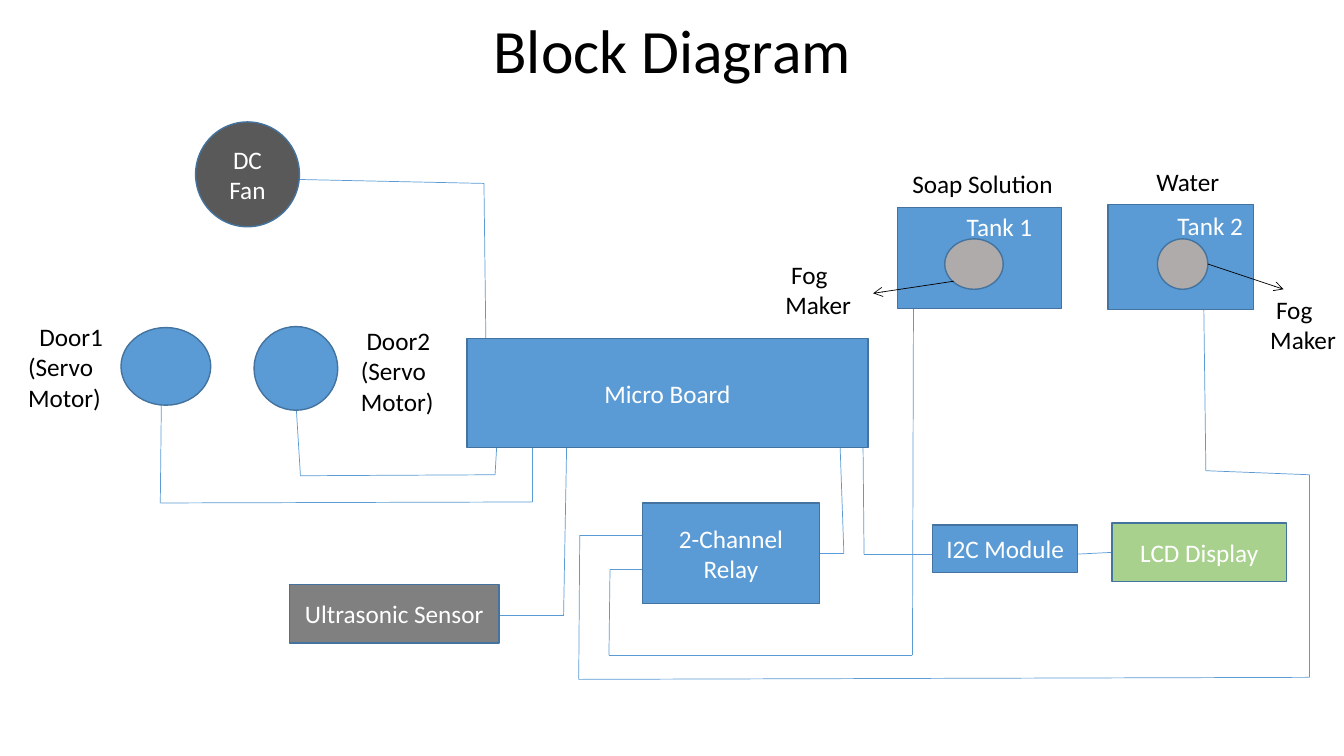
from dataclasses import dataclass
from itertools import pairwise
from typing import Any

from lxml.etree import SubElement
from pptx import Presentation
from pptx.dml.color import RGBColor
from pptx.enum.shapes import MSO_CONNECTOR, MSO_SHAPE
from pptx.enum.text import MSO_ANCHOR, MSO_AUTO_SIZE, PP_ALIGN
from pptx.oxml.ns import qn
from pptx.util import Inches, Pt


@dataclass(frozen=True)
class Theme:
    font: str = "Calibri"
    title: float = 44
    body: float = 18
    border: float = 1
    wire: float = 0.5
    black: str = "000000"
    white: str = "FFFFFF"
    blue: str = "5B9BD5"
    edge: str = "43739E"
    green: str = "A9D18E"
    gray: str = "808080"
    dark: str = "595959"
    silver: str = "AFABAB"


T = Theme()
COLS, ROWS = 133.3, 75
SLIDE_W, SLIDE_H = Inches(13.33), Inches(7.5)
RECT, OVAL = MSO_SHAPE.RECTANGLE, MSO_SHAPE.OVAL
LEFT, CENTER = PP_ALIGN.LEFT, PP_ALIGN.CENTER
Point = tuple[float, float]


@dataclass(frozen=True)
class Block:
    col: float
    row: float
    cols: float
    rows: float
    fill: str = T.blue
    kind: Any = RECT
    lines: tuple[str, ...] = ()


@dataclass(frozen=True)
class Label:
    col: float
    row: float
    cols: float
    lines: tuple[str, ...]
    color: str = T.black
    align: Any = LEFT
    indent: float = 0


@dataclass(frozen=True)
class Wire:
    points: tuple[Point, ...]
    color: str = T.blue
    arrow: bool = False


def x(col: float) -> int:
    return round(SLIDE_W * col / COLS)


def y(row: float) -> int:
    return round(SLIDE_H * row / ROWS)


def apply(target: Any, values: dict[str, Any]) -> None:
    for name, value in values.items():
        setattr(target, name, value)


def write(tf: Any, lines: tuple[str, ...], color: str, size: float = T.body,
          align: Any = CENTER, spacing: float = 1, indent: float = 0) -> None:
    for i, line in enumerate(lines):
        p = tf.add_paragraph() if i else tf.paragraphs[0]
        apply(p, {"alignment": align, "line_spacing": spacing})
        if indent and i == 0:
            p._p.get_or_add_pPr().set("indent", str(x(indent)))
        r = p.add_run()
        r.text = line
        apply(r.font, {"name": T.font, "size": Pt(size)})
        r.font.color.rgb = RGBColor.from_string(color)


def draw_block(s: Any, b: Block) -> None:
    sp = s.shapes.add_shape(b.kind, x(b.col), y(b.row), x(b.cols), y(b.rows))
    sp.shadow.inherit = False
    sp.fill.solid()
    sp.fill.fore_color.rgb = RGBColor.from_string(b.fill)
    sp.line.color.rgb = RGBColor.from_string(T.edge)
    sp.line.width = Pt(T.border)
    apply(sp.text_frame, {"word_wrap": True, "vertical_anchor": MSO_ANCHOR.MIDDLE})
    write(sp.text_frame, b.lines, T.white)


def draw_label(s: Any, b: Label) -> None:
    rows = 1 + 3.03 * len(b.lines)
    tf = s.shapes.add_textbox(x(b.col), y(b.row), x(b.cols), y(rows)).text_frame
    apply(tf, {"word_wrap": False, "auto_size": MSO_AUTO_SIZE.SHAPE_TO_FIT_TEXT})
    write(tf, b.lines, b.color, align=b.align, indent=b.indent)


def draw_wire(s: Any, w: Wire) -> None:
    for (c1, r1), (c2, r2) in pairwise(w.points):
        cn = s.shapes.add_connector(MSO_CONNECTOR.STRAIGHT, x(c1), y(r1), x(c2), y(r2))
        cn.line.color.rgb = RGBColor.from_string(w.color)
        cn.line.width = Pt(T.wire)
        if w.arrow:
            SubElement(cn.line._get_or_add_ln(), qn("a:tailEnd"), type="arrow")
        SubElement(cn._element.spPr, qn("a:effectLst"))


FOG = ("Fog", "Maker")
MOTOR = ("(Servo", "Motor)")

WIRES = [
    Wire(((29.4, 17.8), (48, 18.2), (48.2, 34.4))),
    Wire(((29.4, 40.7), (29.8, 47.2), (49.1, 47.1), (49.3, 43.7))),
    Wire(((16, 40.2), (15.9, 49.9), (52.8, 49.8), (52.8, 44.3))),
    Wire(((49.1, 61), (55.9, 61), (56.2, 44.4))),
    Wire(((83.2, 40.7), (83.7, 54.9), (80.1, 54.9))),
    Wire(((85.6, 44.4), (85.7, 55), (94.1, 55))),
    Wire(((104.3, 55.1), (110.3, 54.8))),
    Wire(((66.8, 56.5), (60.5, 56.5), (60.4, 65), (90.5, 65), (90.6, 30.3))),
    Wire(((63.8, 53.1), (57.5, 53.1), (57.4, 67.4), (129.9, 67.2),
          (129.9, 47.1), (119.6, 46.7), (119.4, 30.7))),
]
BLOCKS = [
    Block(28.7, 58, 20.8, 5.8, T.gray, lines=("Ultrasonic Sensor",)),
    Block(12, 32.5, 8.9, 7.7, kind=OVAL),
    Block(25.2, 32.4, 8.3, 8.3, kind=OVAL),
    Block(110.3, 51.9, 17.3, 5.8, T.green, lines=("LCD Display",)),
    Block(109.9, 20.3, 14.4, 10.4),
    Block(89, 20.6, 16.3, 10),
    Block(114.8, 23.7, 5, 5, T.silver, OVAL),
    Block(93.7, 23.7, 5.8, 5, T.silver, OVAL),
    Block(46.3, 33.6, 39.8, 10.8, lines=("Micro Board",)),
    Block(63.7, 49.9, 17.6, 10, lines=("2-Channel", "Relay")),
    Block(92.5, 52.1, 14.4, 4.7, lines=("I2C Module",)),
    Block(19.4, 12.1, 10.3, 10.4, T.dark, OVAL, ("DC", "Fan")),
]
ARROWS = [
    Wire(((94.6, 27.9), (86.6, 29.1)), T.black, True),
    Wire(((119.8, 26.2), (127.3, 28.7)), T.black, True),
]
LABELS = [
    Label(1.8, 31.4, 9.6, ("Door1", *MOTOR), indent=1.13),
    Label(34.8, 31.8, 9.3, ("Door2", *MOTOR), indent=0.57),
    Label(94.9, 20.5, 8.6, ("Tank 1",), T.white),
    Label(115.8, 20.4, 8.6, ("Tank 2",), T.white),
    Label(113.7, 16, 8.3, ("Water",)),
    Label(89.1, 16.2, 16.7, ("Soap Solution",), align=CENTER),
    Label(125, 28.7, 8.9, FOG, indent=0.57),
    Label(76.9, 25.2, 8.9, FOG, indent=0.57),
]

prs = Presentation()
apply(prs, {"slide_width": SLIDE_W, "slide_height": SLIDE_H})
s = prs.slides.add_slide(prs.slide_layouts[6])

tf = s.shapes.add_textbox(x(9.2), y(-1.9), x(115), y(14.5)).text_frame
apply(tf, {"word_wrap": True, "vertical_anchor": MSO_ANCHOR.MIDDLE})
write(tf, ("Block Diagram",), T.black, T.title, spacing=0.9)

for draw, items in ((draw_wire, WIRES), (draw_block, BLOCKS),
                    (draw_wire, ARROWS), (draw_label, LABELS)):
    for item in items:
        draw(s, item)

prs.save("out.pptx")
